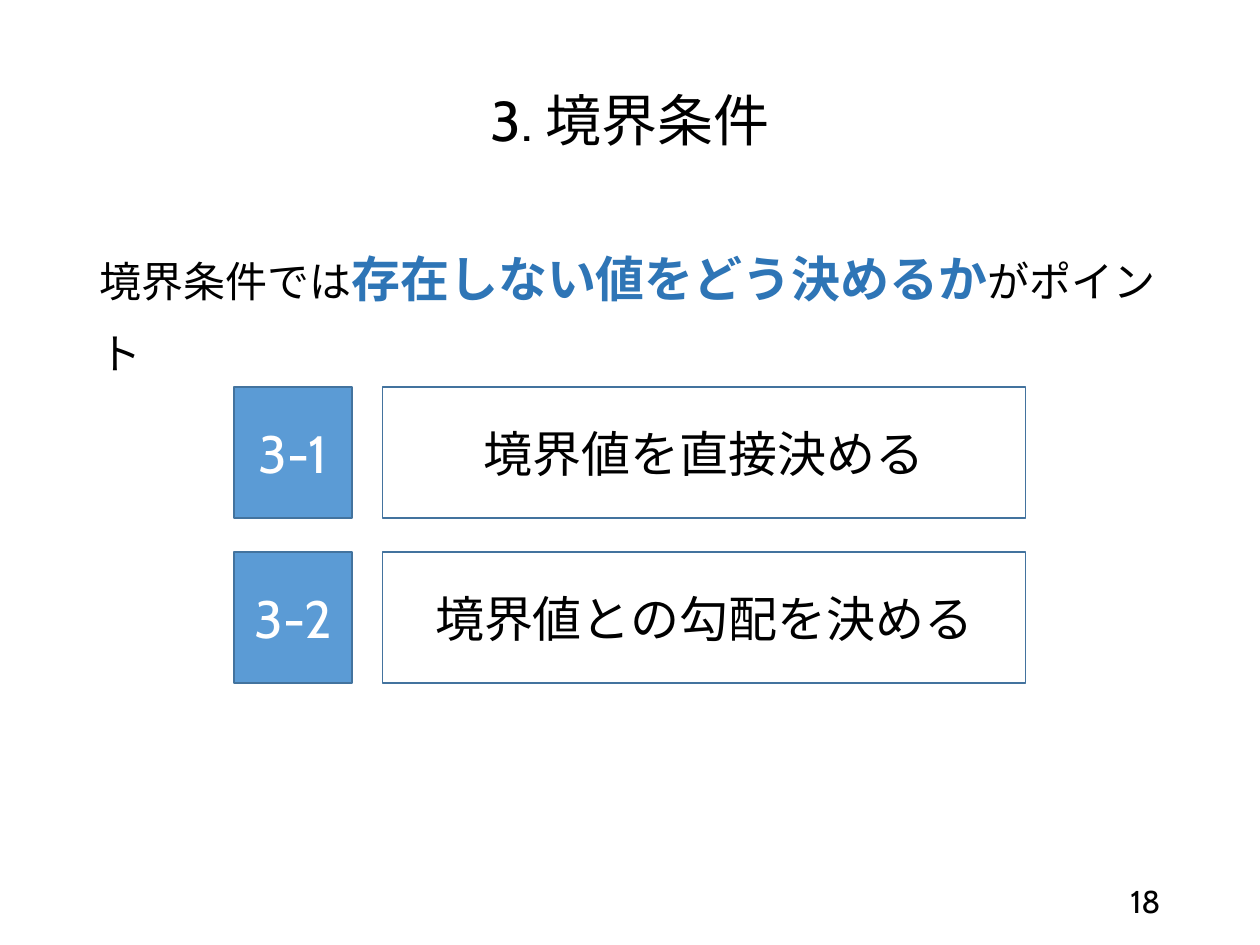
from lxml.etree import SubElement
from pptx import Presentation
from pptx.dml.color import RGBColor
from pptx.enum.lang import MSO_LANGUAGE_ID as Language
from pptx.enum.shapes import MSO_SHAPE as Shape
from pptx.enum.text import MSO_ANCHOR as Anchor, PP_ALIGN as Align
from pptx.oxml.ns import qn
from pptx.util import Pt

FONT = "Cabin"
COLORS = {"text": "000000", "accent": "2E75B6", "fill": "5B9BD5",
          "line": "43739E", "light": "FFFFFF"}


def color(name):
    return RGBColor.from_string(COLORS[name])


def write(box, spans, align, anchor=Anchor.MIDDLE):
    """Fill a box with one paragraph of (text, size, colour, bold) spans."""
    frame = box.text_frame
    frame.word_wrap = True
    frame.vertical_anchor = anchor
    para = frame.paragraphs[0]
    para.alignment = align
    for text, size, ink, bold in spans:
        span = para.add_run()
        span.text = text
        span.font.size = Pt(size)
        span.font.bold = bold
        span.font.color.rgb = color(ink)
        span.font.name = FONT
        span.font.language_id = Language.JAPANESE
        SubElement(span.font._element, qn("a:ea"), typeface=FONT)
    return para


deck = Presentation()
deck.slide_width, deck.slide_height = Pt(720), Pt(540)
page = deck.slides.add_slide(deck.slide_layouts[6])

title = page.shapes.add_textbox(Pt(49.7), Pt(28.8), Pt(620.6), Pt(82.8))
write(title, [("3. 境界条件", 32, "text", False)], Align.CENTER).line_spacing = 0.9

body = page.shapes.add_textbox(Pt(49.7), Pt(125.3), Pt(620.6), Pt(360.7))
message = write(body, [("境界条件では", 24, "text", False),
                       ("存在しない値をどう決めるか", 28, "accent", True),
                       ("がポイント", 24, "text", False)], Align.LEFT, Anchor.TOP)
message.line_spacing = 1.4
message.space_before = Pt(10)

number = page.shapes.add_textbox(Pt(508.3), Pt(500.4), Pt(162), Pt(28.8))
write(number, [("18", 18, "text", False)], Align.RIGHT)

# Each row is a numbered tile and the outlined topic beside it
topics = [("3-1", "境界値を直接決める"), ("3-2", "境界値との勾配を決める")]
row_top, row_pitch, row_height = 221.2, 94.2, 75
for row, (label, topic) in enumerate(topics):
    top = row_top + row * row_pitch
    cells = [(133.9, 67.2, label, 30, "light", "fill"),
             (218.6, 367.4, topic, 28, "text", None)]
    for left, width, text, size, ink, fill in cells:
        box = page.shapes.add_shape(Shape.RECTANGLE, Pt(left), Pt(top),
                                    Pt(width), Pt(row_height))
        box.shadow.inherit = False
        if fill:
            box.fill.solid()
            box.fill.fore_color.rgb = color(fill)
        else:
            box.fill.background()
        box.line.color.rgb = color("line")
        box.line.width = Pt(1)
        write(box, [(text, size, ink, False)], Align.CENTER)

deck.save("out.pptx")
